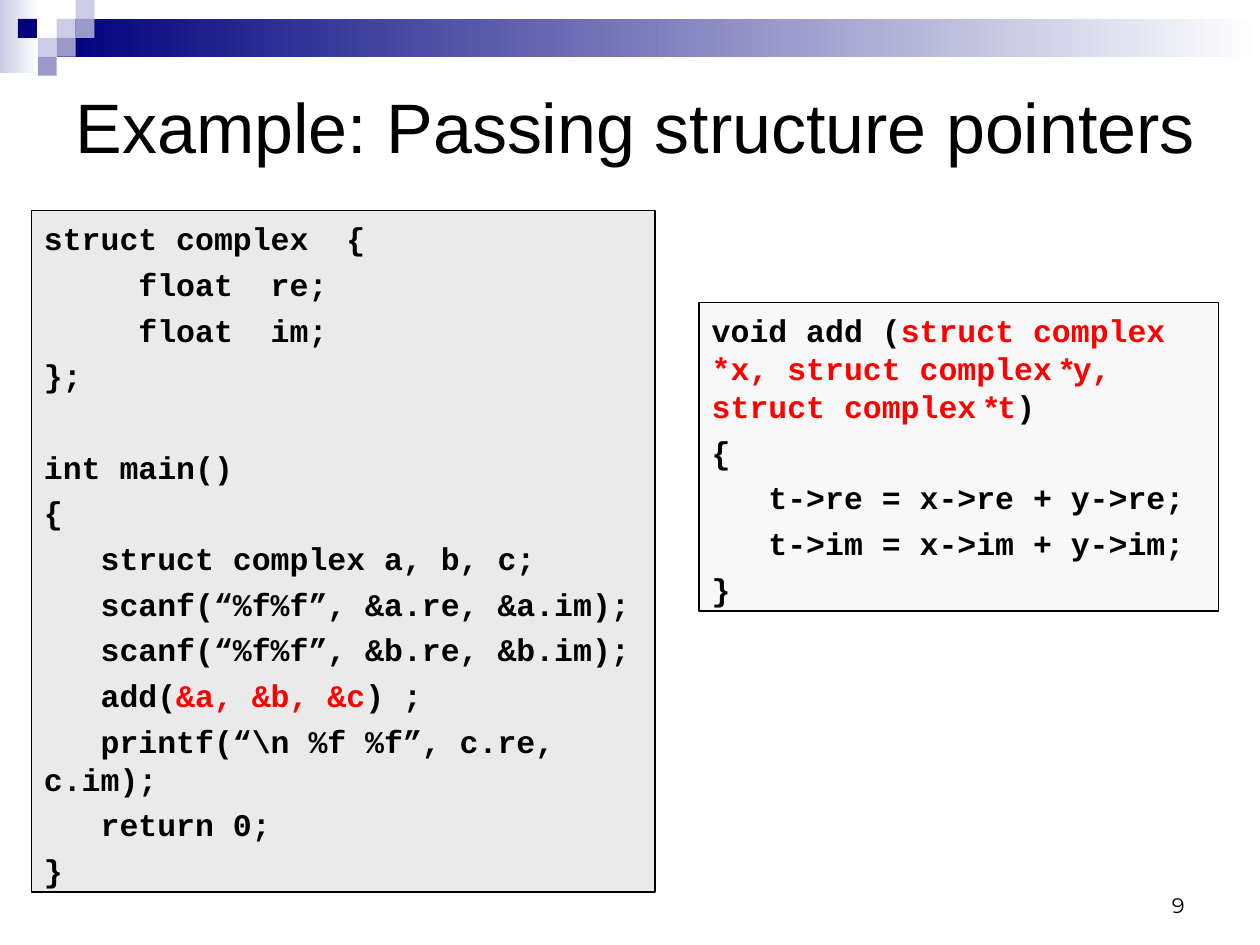
from pptx import Presentation
from pptx.dml.color import RGBColor as RGB
from pptx.enum.shapes import MSO_SHAPE as SHAPE
from pptx.enum.text import MSO_ANCHOR as ANCHOR, PP_ALIGN as ALIGN
from pptx.util import Inches, Pt

COLORS = {
    "navy": "00007D", "violet": "9999CC", "lavender": "CCCCE6",
    "white": "FFFFFF", "black": "000000", "red": "FF0000",
    "main_bg": "EAEAEA", "add_bg": "F8F8F8",
}
FONTS = {
    "title": {"name": "Arial", "size": Pt(40), "bold": False},
    "code": {"name": "Courier New", "size": Pt(18), "bold": True},
    "star": {"name": "Arial", "size": Pt(18), "bold": True},
    "number": {"name": "Montserrat", "size": Pt(12), "bold": False},
}
CODE_GAP = 4.5
CODE_LINE = 21.6


class Deck:
    def __init__(self, cols=200, rows=150):
        self.prs = Presentation()
        self.prs.slide_width, self.prs.slide_height = Inches(10), Inches(7.5)
        self.col = self.prs.slide_width / cols
        self.row = self.prs.slide_height / rows
        self.s = self.prs.slides.add_slide(self.prs.slide_layouts[5])

    def box(self, x, y, w, h):
        return [int(v) for v in (x * self.col, y * self.row, w * self.col, h * self.row)]

    def color(self, key):
        return RGB.from_string(COLORS[key])

    def run(self, p, text, style, color="black"):
        r = p.add_run()
        r.text = text
        for key, value in FONTS[style].items():
            setattr(r.font, key, value)
        r.font.color.rgb = self.color(color)

    def frame(self, sp, anchor, align=ALIGN.LEFT):
        tf = sp.text_frame
        tf.word_wrap = True
        tf.vertical_anchor = anchor
        tf.paragraphs[0].alignment = align
        return tf

    def title(self, text, *cells):
        sp = self.s.shapes.title
        sp.left, sp.top, sp.width, sp.height = self.box(*cells)
        self.run(self.frame(sp, ANCHOR.MIDDLE).paragraphs[0], text, "title")

    def number(self, text, *cells):
        sp = self.s.shapes.add_textbox(*self.box(*cells))
        tf = self.frame(sp, ANCHOR.BOTTOM, ALIGN.RIGHT)
        self.run(tf.paragraphs[0], text, "number")

    def rect(self, fill, *cells):
        sp = self.s.shapes.add_shape(SHAPE.RECTANGLE, *self.box(*cells))
        sp.shadow.inherit = False
        sp.line.fill.background()
        sp.fill.solid()
        sp.fill.fore_color.rgb = self.color(fill)
        return sp

    def fade(self, start, *cells):
        sp = self.rect(start, *cells)
        sp.fill.gradient()
        sp.fill.gradient_angle = 0
        for stop, key, pos in zip(sp.fill.gradient_stops, (start, "white"), (0, 1)):
            stop.color.rgb = self.color(key)
            stop.position = pos

    def code(self, lines, fill, *cells):
        sp = self.rect(fill, *cells)
        sp.line.color.rgb = self.color("black")
        sp.line.width = Pt(1)
        tf = self.frame(sp, ANCHOR.TOP)
        tf.margin_top = Inches(0.07)
        p, gap = tf.paragraphs[0], 0
        for line in lines:
            if not line:
                gap += CODE_LINE + CODE_GAP
                continue
            if p.runs:
                p = tf.add_paragraph()
            p.alignment = ALIGN.LEFT
            p.line_spacing = Pt(CODE_LINE)
            p.space_before = Pt(gap)
            gap = CODE_GAP
            for part in [(line, "code")] if isinstance(line, str) else line:
                self.run(p, *part)


MAIN_CODE = [
    "struct complex  {",
    "     float  re;",
    "     float  im;",
    "};",
    "",
    "int main()",
    "{",
    "   struct complex a, b, c;",
    "   scanf(“%f%f”, &a.re, &a.im);",
    "   scanf(“%f%f”, &b.re, &b.im);",
    [("   add(", "code"), ("&a, &b, &c", "code", "red"), (") ;", "code")],
    "   printf(“\\n %f %f”, c.re, c.im);",
    "   return 0;",
    "}",
]
ADD_CODE = [
    [("void add (", "code"),
     ("struct complex *x, struct complex", "code", "red"), (" *", "star", "red"),
     ("y, struct complex", "code", "red"), (" *", "star", "red"),
     ("t", "code", "red"), (")", "code")],
    "{",
    "   t->re = x->re + y->re;",
    "   t->im = x->im + y->im;",
    "}",
]
TILE = 3
TILES = [
    ("lavender", 3, 1), ("lavender", 4, 0), ("violet", 4, 1), ("lavender", 2, 2),
    ("navy", 0.95, 1), ("violet", 3, 2), ("violet", 2, 3),
]


def main():
    deck = Deck()
    deck.fade("lavender", 0, 0, 6.2, 11.6)
    deck.fade("navy", 9, 3, 191, 6)
    for fill, col, row in TILES:
        deck.rect(fill, col * TILE, row * TILE, TILE, TILE)
    deck.number("9", 143.4, 136.6, 46.6, 10)
    deck.title("Example: Passing structure pointers", 10, 10, 186.6, 20)
    deck.code(MAIN_CODE, "main_bg", 5, 33.4, 99, 108.2)
    deck.code(ADD_CODE, "add_bg", 111, 48, 82.4, 49)
    deck.prs.save("out.pptx")


if __name__ == "__main__":
    main()
